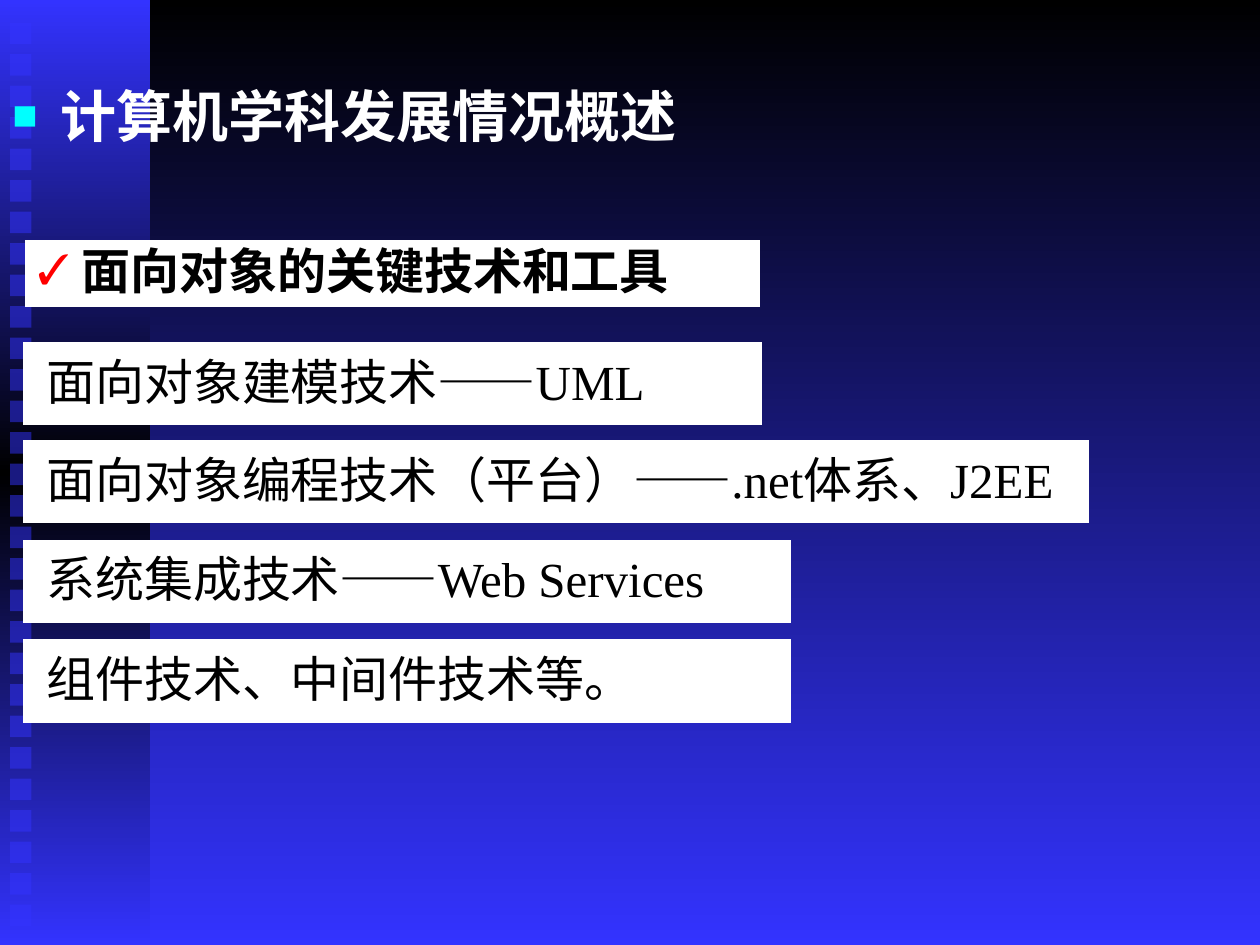
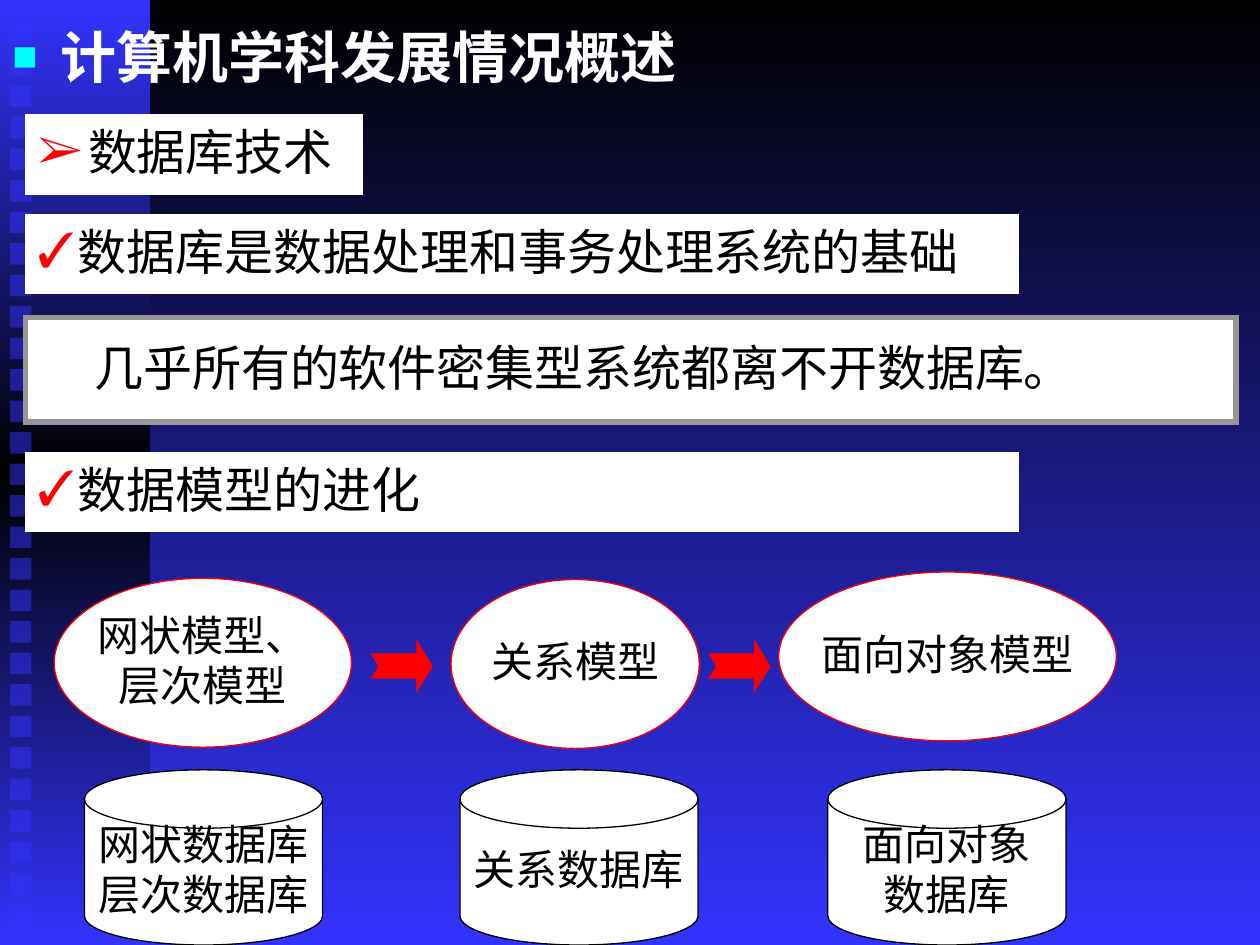
from copy import deepcopy

from lxml import etree
from pptx import Presentation, util as u
from pptx.dml.color import RGBColor
from pptx.enum import shapes, text
from pptx.oxml.ns import qn

# Content
TITLE = "计算机学科发展情况概述"

# One row per panel: text, bullet, indent, top, width, height, line width, line colour, bold
PANEL_KEYS = ("words", "bullet", "indent", "top", "width", "height", "line", "edge", "bold")
TOOL_PANELS = [
    ("面向对象的关键技术和工具", "✓", 0.35, 1.91, 5.83, 0.52, 0.75, "white", True),
    ("面向对象建模技术——UML", None, 0.07, 2.73, 5.83, 0.63, 2.25, "white", False),
    ("面向对象编程技术（平台）——.net体系、J2EE", None, 0.07, 3.51, 8.43, 0.63, 2.25, "white", False),
    ("系统集成技术——Web Services", None, 0.07, 4.3, 6.06, 0.63, 2.25, "white", False),
    ("组件技术、中间件技术等。", None, 0.07, 5.09, 6.06, 0.63, 2.25, "white", False),
]
DATABASE_PANELS = [
    ("数据库技术", "➢", 0.4, 0.91, 2.68, 0.63, 0.75, "white", False),
    ("数据库是数据处理和事务处理系统的基础", "✓", 0.32, 1.7, 7.88, 0.63, 0.75, "white", False),
    ("几乎所有的软件密集型系统都离不开数据库。", None, 0.45, 2.52, 9.61, 0.83, 3, "grey", False),
    ("数据模型的进化", "✓", 0.32, 3.59, 7.88, 0.63, 0.75, "white", False),
]
# Model: lines, left, top, width; database: lines, left
EVOLUTION = [
    (["网状模型、", "层次模型"], 0.43, 4.59, 2.36, ["网状数据库", "层次数据库"], 0.67),
    (["关系模型"], 3.58, 4.6, 1.97, ["关系数据库"], 3.65),
    (["面向对象模型"], 6.18, 4.54, 2.68, ["面向对象", "数据库"], 6.57),
]
ARROW_LEFTS = [2.95, 5.63]
ARROW_OUTLINE = [(0, 0.1), (0.36, 0.1), (0.36, 0), (0.48, 0.2),
                 (0.36, 0.39), (0.36, 0.29), (0, 0.29), (0.06, 0.2)]

# Style
COLORS = {"black": "000000", "blue": "3333FF", "white": "FFFFFF",
          "cyan": "00FFFF", "red": "FF0000", "grey": "969696"}
FONT = "Times New Roman"
WIDTH, HEIGHT = 10, 7.5
PANEL_LEFT = 0.2
MODEL_HEIGHT = 1.34
DISK_TOP, DISK_WIDTH, DISK_HEIGHT = 6.11, 1.89, 1.39
ARROW_TOP = 5.09
TICK_COUNT, TICK_TOP, TICK_STEP, TICK_SIZE = 29, 0.18, 0.25, 0.17


def rgb(name):
    return RGBColor.from_string(COLORS[name])


def paint_gradient(fill, names):
    """Spread the named colours evenly from top to bottom."""
    fill.gradient_angle = 270
    for i, (stop, name) in enumerate(zip(fill.gradient_stops, names)):
        stop.position = i / (len(names) - 1)
        stop.color.rgb = rgb(name)


def add_shape(slide, kind, left, top, width, height, fill="white", edge=None, line=0.75):
    shape = slide.shapes.add_shape(kind, *map(u.Inches, (left, top, width, height)))
    return finish(shape, fill, edge, line)


def finish(shape, fill, edge, line=0.75):
    shape.shadow.inherit = False
    shape.fill.solid()
    shape.fill.fore_color.rgb = rgb(fill)
    if edge:
        shape.line.color.rgb = rgb(edge)
        shape.line.width = u.Pt(line)
        etree.SubElement(shape._element.spPr.find(qn("a:ln")), qn("a:miter"), lim="800000")
    else:
        shape.line.fill.background()
    return shape


def set_bullet(paragraph, mark, color, percent, indent):
    props = paragraph._p.get_or_add_pPr()
    props.set("marL", str(u.Inches(indent)))
    if not mark:
        return
    props.set("indent", str(-u.Inches(indent)))
    bullet_color = etree.SubElement(props, qn("a:buClr"))
    etree.SubElement(bullet_color, qn("a:srgbClr"), val=COLORS[color])
    etree.SubElement(props, qn("a:buSzPct"), val=str(percent * 1000))
    etree.SubElement(props, qn("a:buFont"), typeface=FONT)
    etree.SubElement(props, qn("a:buChar"), char=mark)


def style(paragraph, size, color, bold=False):
    font = paragraph.font
    font.name, font.size, font.bold = FONT, u.Pt(size), bold
    font.color.rgb = rgb(color)


def prepare_frame(shape):
    frame = shape.text_frame
    frame.word_wrap = False
    frame.vertical_anchor = text.MSO_ANCHOR.MIDDLE
    frame.margin_left = frame.margin_right = u.Inches(0.1)
    frame.margin_top, frame.margin_bottom = 0, u.Inches(0.05)
    return frame


def add_panel(slide, words, bullet, indent, top, width, height, line, edge, bold):
    panel = add_shape(slide, shapes.MSO_SHAPE.RECTANGLE, PANEL_LEFT, top, width, height,
                      edge=edge, line=line)
    paragraph = prepare_frame(panel).paragraphs[0]
    paragraph.text = words
    paragraph.alignment = text.PP_ALIGN.LEFT
    set_bullet(paragraph, bullet, "red", 86 if bold else 100, indent)
    style(paragraph, 28, "black", bold)


def add_label(shape, lines):
    frame = prepare_frame(shape)
    frame.text = "\n".join(lines)
    for paragraph in frame.paragraphs:
        paragraph.alignment = text.PP_ALIGN.CENTER
        style(paragraph, 24, "black")


def add_arrow(slide, left):
    points = [(u.Inches(left + x), u.Inches(ARROW_TOP + y)) for x, y in ARROW_OUTLINE]
    builder = slide.shapes.build_freeform(*points[0])
    builder.add_line_segments(points[1:], close=True)
    finish(builder.convert_to_shape(), "red", "red")


def add_base_slide(deck, title_top, panels):
    slide = deck.slides.add_slide(deck.slide_layouts[6])
    slide.background.fill.gradient()
    paint_gradient(slide.background.fill, ["black", "blue"])

    # Side band and its column of ticks
    band = add_shape(slide, shapes.MSO_SHAPE.RECTANGLE, 0, 0, 1.19, HEIGHT)
    band.fill.gradient()
    stops = band._element.spPr.find(".//" + qn("a:gsLst"))
    stops.append(deepcopy(stops[0]))
    paint_gradient(band.fill, ["blue", "black", "blue"])
    for i in range(TICK_COUNT):
        tick = add_shape(slide, shapes.MSO_SHAPE.RECTANGLE, 0.08, TICK_TOP + i * TICK_STEP,
                         TICK_SIZE, TICK_SIZE, "blue")
        tint = tick._element.spPr.find(".//" + qn("a:srgbClr"))
        etree.SubElement(tint, qn("a:alpha"), val="50000")

    # Title
    title = slide.shapes.add_textbox(0, u.Inches(title_top), u.Inches(8.5), u.Inches(0.79))
    title.text_frame.word_wrap = True
    heading = title.text_frame.paragraphs[0]
    heading.text = TITLE
    set_bullet(heading, "■", "cyan", 75, 0.38)
    style(heading, 32, "white", True)

    for panel in panels:
        add_panel(slide, **dict(zip(PANEL_KEYS, panel)))
    return slide


def main():
    deck = Presentation()
    deck.slide_width, deck.slide_height = u.Inches(WIDTH), u.Inches(HEIGHT)

    # Object-oriented technologies and tools
    add_base_slide(deck, 0.6, TOOL_PANELS)

    # Database technology and the evolution of data models
    databases = add_base_slide(deck, 0.13, DATABASE_PANELS)
    for left in ARROW_LEFTS:
        add_arrow(databases, left)
    for model, left, top, width, database, disk_left in EVOLUTION:
        add_label(add_shape(databases, shapes.MSO_SHAPE.OVAL, left, top, width, MODEL_HEIGHT,
                            edge="red"), model)
        add_label(add_shape(databases, shapes.MSO_SHAPE.FLOWCHART_MAGNETIC_DISK, disk_left,
                            DISK_TOP, DISK_WIDTH, DISK_HEIGHT, edge="black"), database)

    deck.save("out.pptx")


if __name__ == "__main__":
    main()
